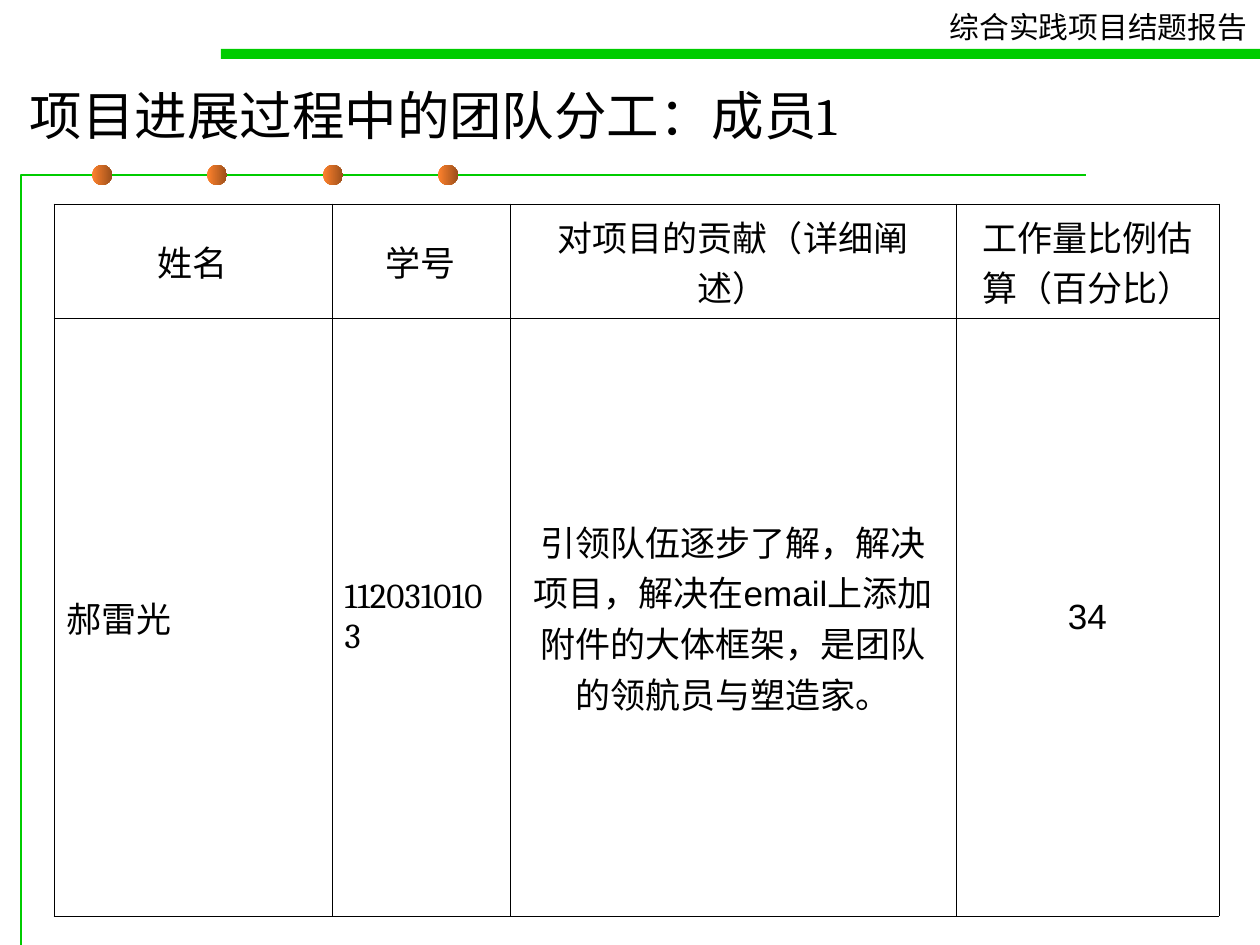
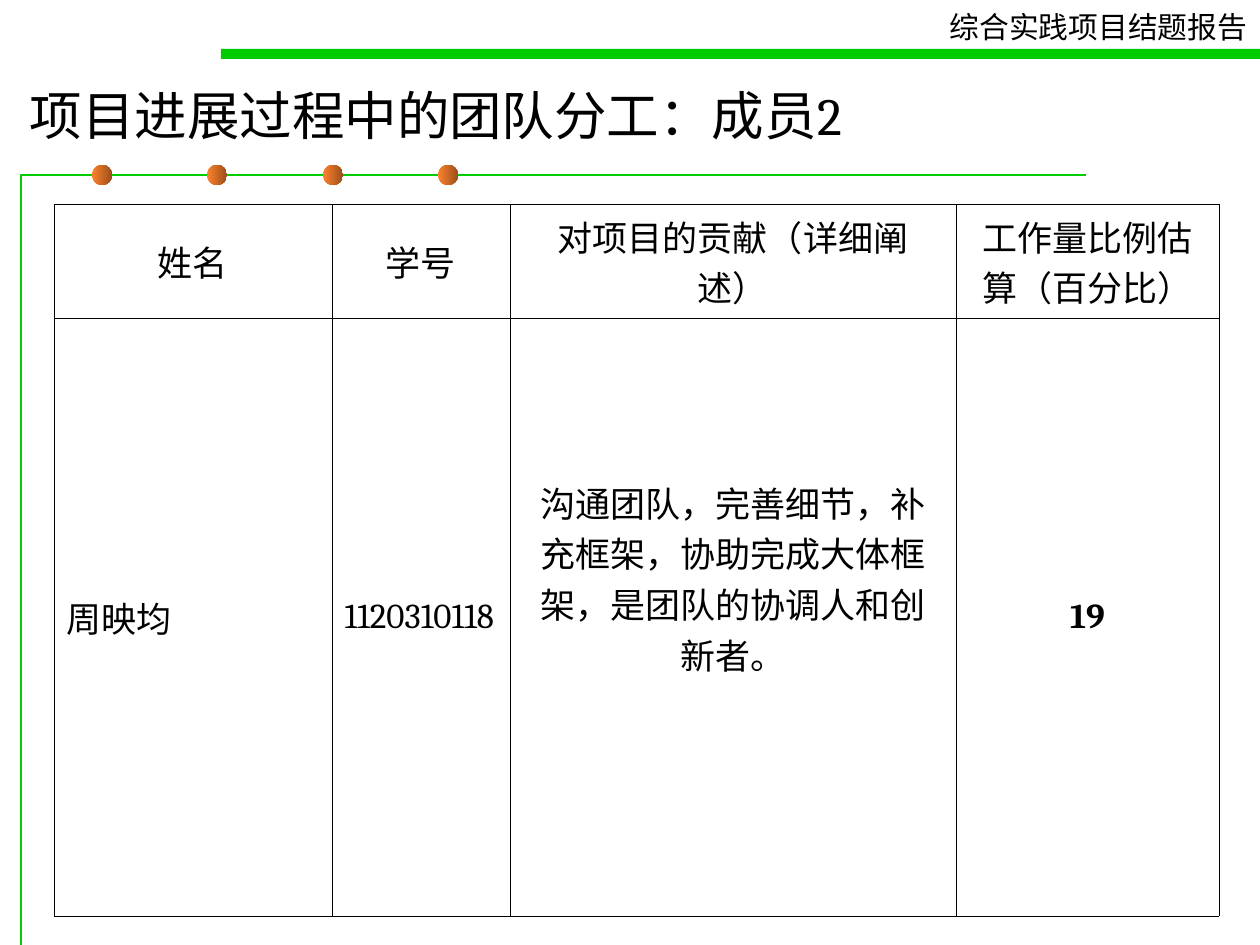
from dataclasses import dataclass

from lxml import etree
from pptx import Presentation
from pptx.dml.color import RGBColor
from pptx.enum.lang import MSO_LANGUAGE_ID
from pptx.enum.shapes import MSO_SHAPE
from pptx.enum.text import MSO_ANCHOR, MSO_AUTO_SIZE, PP_ALIGN
from pptx.oxml.ns import qn
from pptx.util import Emu, Pt

ELLIPSE, RECTANGLE = MSO_SHAPE.OVAL, MSO_SHAPE.RECTANGLE
LEFT, CENTER, MIDDLE = PP_ALIGN.LEFT, PP_ALIGN.CENTER, MSO_ANCHOR.MIDDLE
NO_FIT, GROW = MSO_AUTO_SIZE.NONE, MSO_AUTO_SIZE.SHAPE_TO_FIT_TEXT
CHINESE = MSO_LANGUAGE_ID.SIMPLIFIED_CHINESE
TITLE_ONLY = 5
EMU_PER_PX = 914400 / 126
SLIDE_WIDTH, SLIDE_HEIGHT = 1260, 945


@dataclass(frozen=True)
class Theme:
    ink: str = "000000"
    green: str = "00CC00"
    bead_light: str = "FF822D"
    bead_dark: str = "9B4F1B"
    serif: str = "Cambria"
    sans: str = "Arial"
    heading: str = "Times New Roman"
    title_size: int = 30
    cell_size: int = 20
    header_size: int = 17
    frame_width: float = 0.75
    grid_width: float = 0.45


THEME = Theme()

COLUMN_WIDTHS = (278, 178, 446, 263)
ROW_HEIGHTS = (114, 598)
HEADINGS = ("姓名", "学号", "对项目的贡献（详细阐述）", "工作量比例估算（百分比）")


@dataclass(frozen=True)
class Member:
    name: str
    student_id: str
    contribution: str
    share: str
    share_font: str = THEME.sans
    share_bold: bool = False
    contribution_lift: int = 0


MEMBERS = (
    Member("郝雷光", "1120310103",
           "引领队伍逐步了解，解决项目，解决在email上添加附件的大体框架，是团队的领航员与塑造家。",
           "34"),
    Member("周映均", "1120310118",
           "沟通团队，完善细节，补充框架，协助完成大体框架，是团队的协调人和创新者。",
           "19", THEME.serif, True, 78),
)


def px(length):
    return Emu(round(length * EMU_PER_PX))


def color(code):
    return RGBColor.from_string(code)


def write(frame, text, size, font_name, align=LEFT, bold=False):
    frame.text = text
    paragraph = frame.paragraphs[0]
    paragraph.alignment = align
    for run in paragraph.runs:
        font = run.font
        font.name, font.size, font.bold = font_name, Pt(size), bold
        font.color.rgb = color(THEME.ink)
        font.language_id = CHINESE


def add_plain_shape(slide, kind, left, top, width, height):
    shape = slide.shapes.add_shape(kind, px(left), px(top), px(width), px(height))
    shape.shadow.inherit = False
    shape.line.fill.background()
    return shape


def add_corner_line(slide):
    builder = slide.shapes.build_freeform(px(21), px(SLIDE_HEIGHT))
    builder.add_line_segments([(px(21), px(175)), (px(1086), px(175))], close=False)
    corner = builder.convert_to_shape()
    corner.shadow.inherit = False
    corner.fill.background()
    corner.line.color.rgb = color(THEME.green)
    corner.line.width = Pt(THEME.frame_width)


def add_bead(slide, left):
    bead = add_plain_shape(slide, ELLIPSE, left, 165, 20, 20)
    bead.fill.gradient()
    bead.fill.gradient_angle = 0
    for stop, shade in zip(bead.fill.gradient_stops, (THEME.bead_light, THEME.bead_dark)):
        stop.color.rgb = color(shade)


def add_frame(slide):
    """Add the corner line, beads, green band and running header of every slide."""
    add_corner_line(slide)
    for index in range(4):
        add_bead(slide, 92 + 231 * index // 2)
    band = add_plain_shape(slide, RECTANGLE, 221, 49, SLIDE_WIDTH - 221, 10)
    band.fill.solid()
    band.fill.fore_color.rgb = color(THEME.green)
    header = slide.shapes.add_textbox(px(937), px(3), px(323), px(49)).text_frame
    header.word_wrap = False
    header.auto_size = GROW
    write(header, "综合实践项目结题报告", THEME.header_size, THEME.serif)


def set_title(slide, text):
    title = slide.shapes.title
    title.left, title.top, title.width, title.height = px(17), px(70), px(1170), px(89)
    frame = title.text_frame
    frame.vertical_anchor = MIDDLE
    frame.word_wrap = True
    frame.auto_size = NO_FIT
    write(frame, text, THEME.title_size, THEME.serif)


def add_borders(cell):
    properties = cell._tc.get_or_add_tcPr()
    for side in ("a:lnL", "a:lnR", "a:lnT", "a:lnB"):
        border = etree.SubElement(properties, qn(side), w=str(Pt(THEME.grid_width)))
        fill = etree.SubElement(border, qn("a:solidFill"))
        etree.SubElement(fill, qn("a:srgbClr"), val=THEME.ink)


def fill_cell(cell, text, font_name, align=CENTER, bold=False):
    add_borders(cell)
    cell.fill.background()
    cell.vertical_anchor = MIDDLE
    write(cell.text_frame, text, THEME.cell_size, font_name, align, bold)


def add_member_table(slide, member):
    table = slide.shapes.add_table(
        len(ROW_HEIGHTS), len(COLUMN_WIDTHS), px(54), px(204),
        px(sum(COLUMN_WIDTHS)), px(sum(ROW_HEIGHTS))).table
    table.first_row = table.horz_banding = False
    for column, width in zip(table.columns, COLUMN_WIDTHS):
        column.width = px(width)
    for row, height in zip(table.rows, ROW_HEIGHTS):
        row.height = px(height)
    for index, heading in enumerate(HEADINGS):
        fill_cell(table.cell(0, index), heading, THEME.heading)

    name, student_id, contribution, share = (
        table.cell(1, index) for index in range(len(HEADINGS)))
    fill_cell(name, member.name, THEME.serif, LEFT)
    fill_cell(student_id, member.student_id, THEME.serif, LEFT)
    fill_cell(contribution, member.contribution, THEME.sans)
    contribution.margin_bottom += px(member.contribution_lift)
    fill_cell(share, member.share, member.share_font, bold=member.share_bold)


def main():
    deck = Presentation()
    deck.slide_width, deck.slide_height = px(SLIDE_WIDTH), px(SLIDE_HEIGHT)
    for number, member in enumerate(MEMBERS, start=1):
        slide = deck.slides.add_slide(deck.slide_layouts[TITLE_ONLY])
        add_frame(slide)
        set_title(slide, f"项目进展过程中的团队分工：成员{number}")
        add_member_table(slide, member)
    deck.save("out.pptx")


if __name__ == "__main__":
    main()
